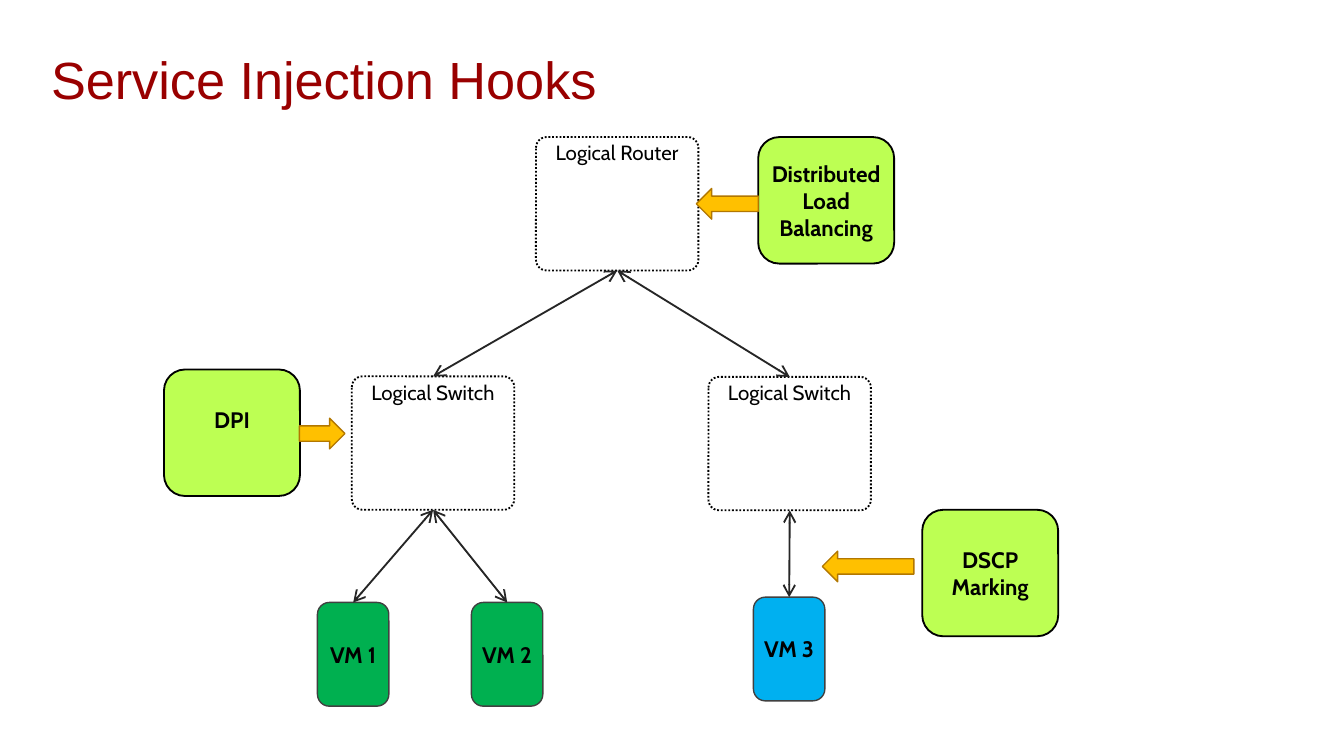
from lxml import etree
from pptx import Presentation
from pptx.dml.color import RGBColor
from pptx.enum.dml import MSO_LINE
from pptx.enum.shapes import MSO_CONNECTOR, MSO_SHAPE
from pptx.enum.text import MSO_ANCHOR, PP_ALIGN
from pptx.oxml.ns import qn
from pptx.util import Cm, Pt

TITLE_RED = RGBColor(0x99, 0x00, 0x00)
BLACK = RGBColor(0x00, 0x00, 0x00)
WHITE = RGBColor(0xFF, 0xFF, 0xFF)
VM_GREEN = RGBColor(0x00, 0xB0, 0x50)
VM_BLUE = RGBColor(0x00, 0xB0, 0xF0)
VM_EDGE = RGBColor(0x40, 0x40, 0x40)
SERVICE_LIME = RGBColor(0xBD, 0xFF, 0x53)
LINK_GRAY = RGBColor(0x26, 0x26, 0x26)
HOOK_AMBER = RGBColor(0xFF, 0xC0, 0x00)
HOOK_EDGE = RGBColor(0xB2, 0x77, 0x00)


def add_block(kind, left, top, width, height, fill, edge, edge_width):
    block = slide.shapes.add_shape(kind, Cm(left), Cm(top), Cm(width), Cm(height))
    block.shadow.inherit = False
    block.fill.solid()
    block.fill.fore_color.rgb = fill
    block.line.color.rgb = edge
    block.line.width = Pt(edge_width)
    return block


def write_label(block, text, size, bold, anchor, margins):
    frame = block.text_frame
    frame.text = text
    frame.word_wrap = False
    frame.vertical_anchor = anchor
    frame.margin_left = frame.margin_right = Cm(margins[0])
    frame.margin_top, frame.margin_bottom = Cm(margins[1]), Cm(margins[2])
    for paragraph in frame.paragraphs:
        paragraph.alignment = PP_ALIGN.CENTER
        for run in paragraph.runs:
            run.font.name = "Cabin"
            run.font.size = Pt(size)
            run.font.bold = bold
            run.font.color.rgb = BLACK


prs = Presentation()
prs.slide_width, prs.slide_height = Cm(25.4), Cm(14.28)
slide = prs.slides.add_slide(prs.slide_layouts[5])

# Title
title = slide.shapes.title
title.left, title.top, title.width, title.height = Cm(0.71), Cm(0.69), Cm(13.23), Cm(1.8)
title.text_frame.text = "Service Injection Hooks"
title.text_frame.vertical_anchor = MSO_ANCHOR.MIDDLE
title.text_frame.margin_bottom = Cm(0.33)
title.text_frame.paragraphs[0].alignment = PP_ALIGN.LEFT
title_font = title.text_frame.paragraphs[0].runs[0].font
title_font.name = "Arial"
title_font.size = Pt(28)
title_font.color.rgb = TITLE_RED

# Logical router and switches
network = []
for text, left, top in [
    ("Logical Router", 10.13, 2.59),
    ("Logical Switch", 6.65, 7.11),
    ("Logical Switch", 13.39, 7.12),
]:
    node = add_block(MSO_SHAPE.ROUNDED_RECTANGLE, left, top, 3.07, 2.52, WHITE, BLACK, 1)
    node.adjustments[0] = 0.08
    node.line.dash_style = MSO_LINE.ROUND_DOT
    write_label(node, text, 11, False, MSO_ANCHOR.TOP, (0.25, 0, 0.13))
    network.append(node)
router, left_switch, right_switch = network

# Virtual machines
machines = []
for text, left, top, fill in [
    ("VM 1", 6, 11.38, VM_GREEN),
    ("VM 2", 8.91, 11.38, VM_GREEN),
    ("VM 3", 14.24, 11.28, VM_BLUE),
]:
    machine = add_block(MSO_SHAPE.ROUNDED_RECTANGLE, left, top, 1.35, 1.96, fill, VM_EDGE, 0.75)
    write_label(machine, text, 12, True, MSO_ANCHOR.MIDDLE, (0.25, 0.13, 0.13))
    machines.append(machine)
vm1, vm2, vm3 = machines

# Two-way links, from the top of the lower node to the bottom of the upper one
for lower, upper in [
    (vm1, left_switch),
    (left_switch, router),
    (vm2, left_switch),
    (vm3, right_switch),
    (right_switch, router),
]:
    link = slide.shapes.add_connector(MSO_CONNECTOR.STRAIGHT, 0, 0, 0, 0)
    link.begin_connect(lower, 0)
    link.end_connect(upper, 2)
    link.line.color.rgb = LINK_GRAY
    link.line.width = Pt(1)
    for end in ("a:headEnd", "a:tailEnd"):
        etree.SubElement(link.line._get_or_add_ln(), qn(end), type="arrow")
    etree.SubElement(link._element.spPr, qn("a:effectLst"))

# Injected services; DPI sits above the middle of its box
for text, left, top, bottom_margin in [
    ("DSCP\nMarking", 17.43, 9.63, 0),
    ("DPI", 3.1, 6.98, 0.51),
    ("Distributed\nLoad\nBalancing", 14.33, 2.59, 0),
]:
    service = add_block(MSO_SHAPE.ROUNDED_RECTANGLE, left, top, 2.57, 2.39, SERVICE_LIME, BLACK, 1)
    write_label(service, text, 12, True, MSO_ANCHOR.MIDDLE, (0, 0, bottom_margin))

# Hook arrows from each service to its injection point
for left, top, width, rotation in [
    (5.66, 7.9, 0.86, 0),
    (15.54, 10.41, 1.73, 180),
    (13.16, 3.56, 1.17, 180),
]:
    hook = add_block(MSO_SHAPE.RIGHT_ARROW, left, top, width, 0.58, HOOK_AMBER, HOOK_EDGE, 0.75)
    hook.rotation = rotation

prs.save("out.pptx")
